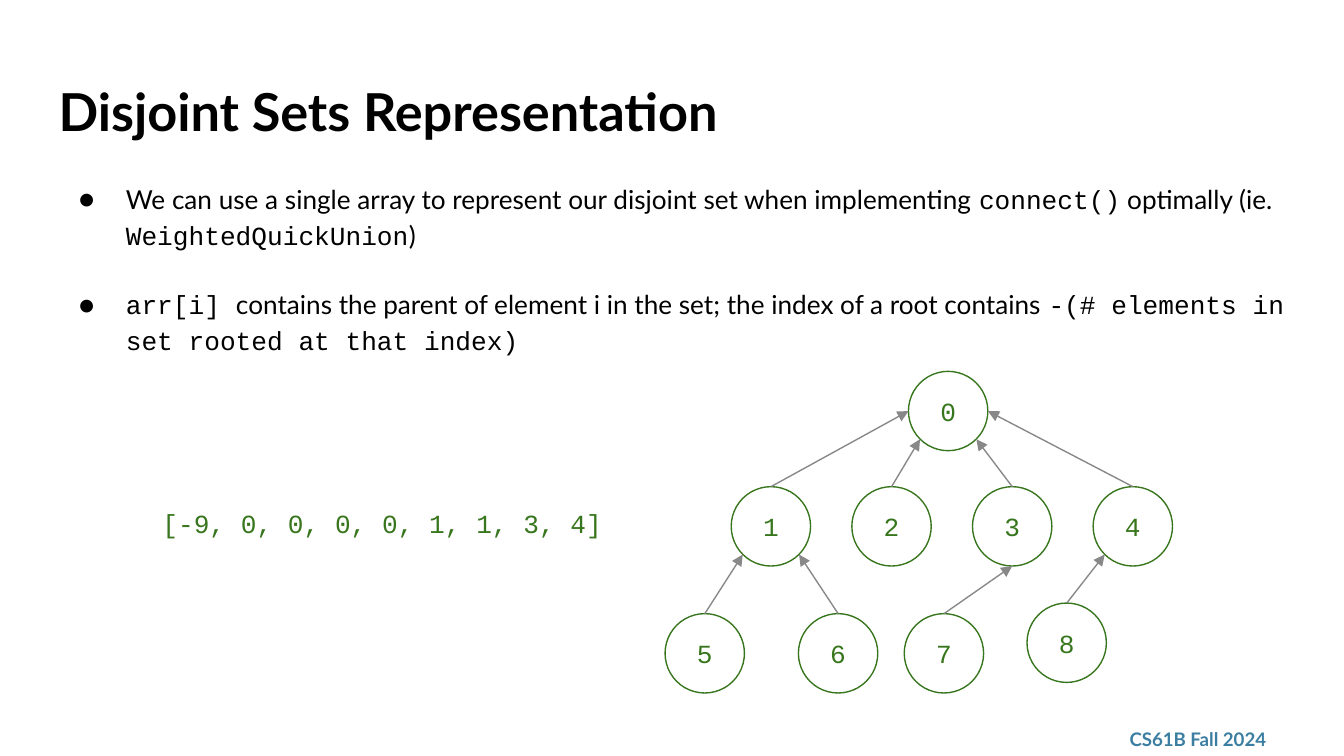
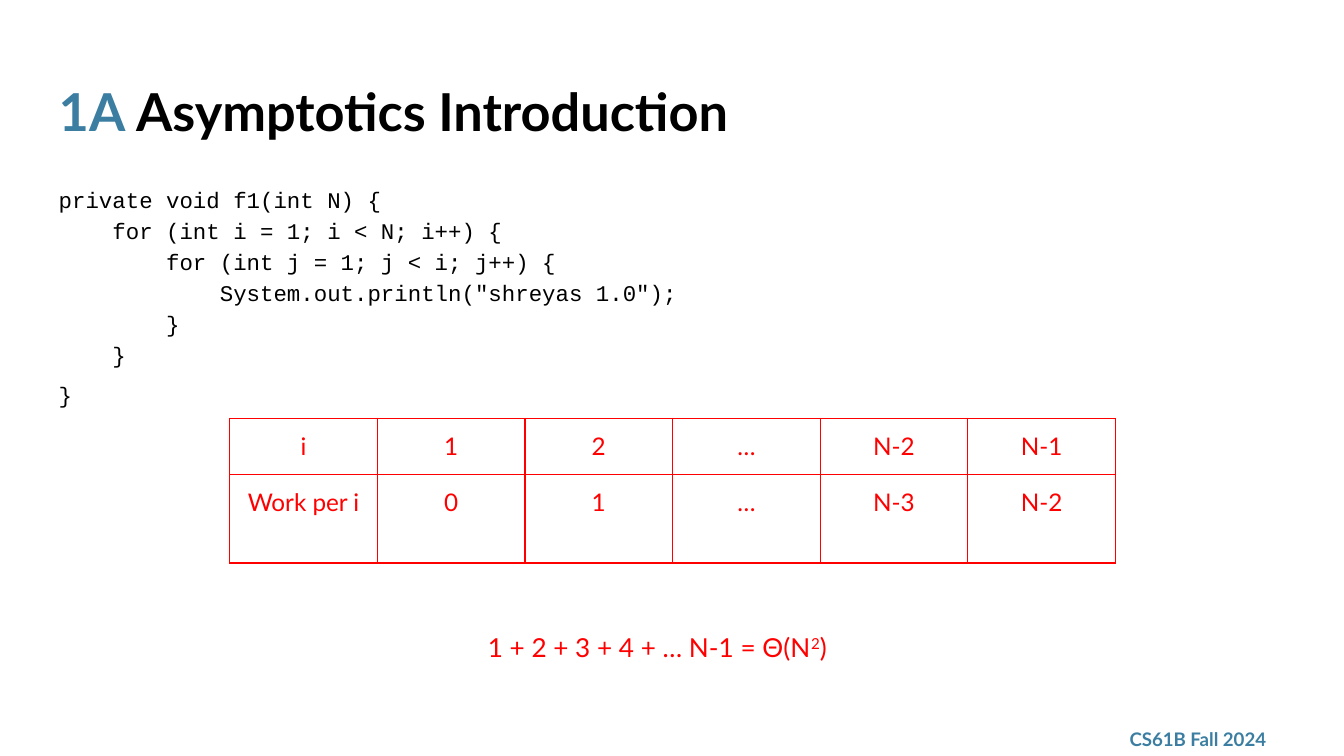
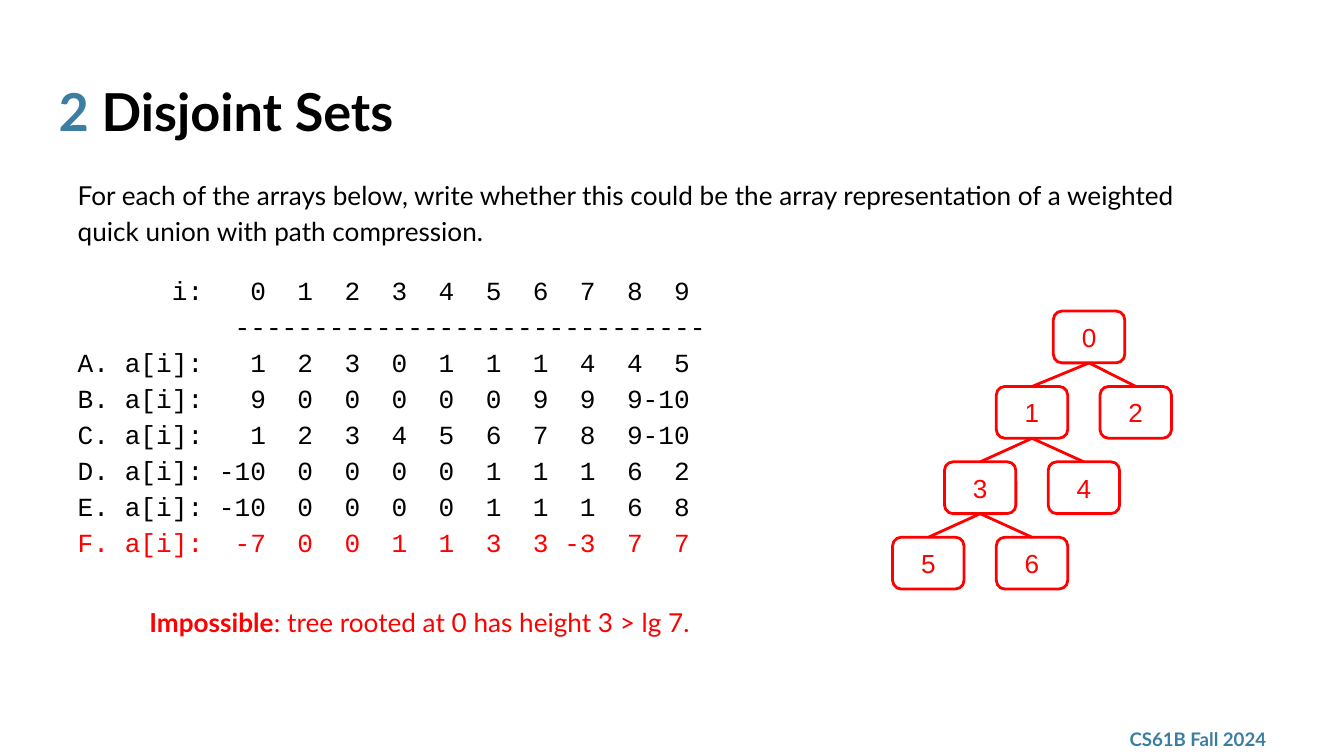
import lxml.etree
import pptx
import pptx.dml.color
import pptx.enum.shapes
import pptx.enum.text
import pptx.oxml.ns
import pptx.util

Cm = pptx.util.Cm
Pt = pptx.util.Pt
RGBColor = pptx.dml.color.RGBColor
SHAPE = pptx.enum.shapes.MSO_SHAPE
ANCHOR = pptx.enum.text.MSO_ANCHOR
ALIGN = pptx.enum.text.PP_ALIGN
qn = pptx.oxml.ns.qn

BLACK = RGBColor(0x00, 0x00, 0x00)
WHITE = RGBColor(0xFF, 0xFF, 0xFF)
BLUE = RGBColor(0x3B, 0x7E, 0xA1)
GREEN = RGBColor(0x38, 0x76, 0x1D)
RED = RGBColor(0xFF, 0x00, 0x00)
GRAY = RGBColor(0x88, 0x88, 0x88)

MARGIN = 0.25
TITLE_BOX = (0.86, 1.24, 23.67, 1.6)
FOOTER_BOX = (21.1, 13.64, 3.43, 0.66)
FOOTER = "CS61B Fall 2024"

TITLE = {"name": "Lato", "size": Pt(28), "bold": True, "color": BLACK}
FOOTER_STYLE = {"name": "Lato", "size": Pt(10), "bold": True, "color": BLUE}
BODY = {"name": "Lato", "size": Pt(14), "color": BLACK}
MONO = {**BODY, "name": "Courier New"}
CODE = {**MONO, "size": Pt(12)}
GREEN_MONO = {**MONO, "color": GREEN}
RED_BODY = {**BODY, "color": RED}
RED_CELL = {**RED_BODY, "size": Pt(13)}
RED_NODE = {**RED_BODY, "name": "Arial"}
CENTERED = {"alignment": ALIGN.CENTER}
LOOSE = {"line_spacing": 1.15}

# Slide 1: each node is (left, top); each edge is (child, parent, point on the
# parent circle as a direction from its centre)
REPRESENTATION_BULLETS = [
    [("We can use a single array to represent our disjoint set when implementing ", {}),
     ("connect()", MONO), (" optimally (ie. ", {}), ("WeightedQuickUnion", MONO), (")", {})],
    [("arr[i] ", MONO),
     ("contains the parent of element i in the set; the index of a root contains ", {}),
     ("-(# elements in set rooted at that index)", MONO)],
]
PARENTS = [-9, 0, 0, 0, 0, 1, 1, 3, 4]
CIRCLE = 1.5
CIRCLES = {0: (17.17, 7.02),
           **{number: (13.82 + 2.28 * (number - 1), 9.2) for number in range(1, 5)},
           5: (12.57, 11.6), 6: (15.09, 11.6), 7: (17.09, 11.6), 8: (19.41, 11.4)}
LEFT, RIGHT, BOTTOM = (-1, 0), (1, 0), (0, 1)
LOWER_LEFT, LOWER_RIGHT = (-0.71, 0.71), (0.71, 0.71)
ARRIVALS = {1: LEFT, 2: LOWER_LEFT, 3: LOWER_RIGHT, 4: RIGHT,
            5: LOWER_LEFT, 6: LOWER_RIGHT, 7: BOTTOM, 8: LOWER_LEFT}

# Slide 2
CODE_LINES = [
    "private void f1(int N) {",
    "    for (int i = 1; i < N; i++) {",
    "        for (int j = 1; j < i; j++) {",
    "            System.out.println(\"shreyas 1.0\");",
    "        }",
    "    }",
    "}",
]
WORK_ROWS = [
    ("i", "1", "2", "…", "N-2", "N-1"),
    ("Work per i", "0", "1", "…", "N-3", "N-2"),
]
WORK_HEIGHTS = (1.06, 1.67)
WORK_COLUMN = 2.79
WORK_SUM = [("1 + 2 + 3 + 4 + … N-1 = Θ(N", {}), ("2", {"baseline": 30000}), (")", {})]

# Slide 3: each box is (half steps from the left, level)
QUESTION = ("For each of the arrays below, write whether this could be the array "
            "representation of a weighted quick union with path compression.")
ARRAYS = [
    ("A", (1, 2, 3, 0, 1, 1, 1, 4, 4, 5)),
    ("B", (9, 0, 0, 0, 0, 0, 9, 9, 9, -10)),
    ("C", (1, 2, 3, 4, 5, 6, 7, 8, 9, -10)),
    ("D", (-10, 0, 0, 0, 0, 1, 1, 1, 6, 2)),
    ("E", (-10, 0, 0, 0, 0, 1, 1, 1, 6, 8)),
    ("F", (-7, 0, 0, 1, 1, 3, 3, -3, 7, 7)),
]
ANSWERED = "F"
VERDICT = [("Impossible", {"bold": True}), (": tree rooted at 0 has height 3 > lg 7.", {})]
BOXES = {0: (3.1, 0), 1: (2, 1), 2: (4, 1), 3: (1, 2), 4: (3, 2), 5: (0, 3), 6: (2, 3)}
BOX_CHILDREN = {0: (1, 2), 1: (3, 4), 3: (5, 6)}
BOX_ORIGIN = (16.87, 5.88)
BOX_STEP = (0.98, 1.425)
BOX_SIZE = (1.35, 0.98)


def set_all(target, values):
    for name, value in values.items():
        setattr(target, name, value)


def add_xml(parent, tag, **attributes):
    return lxml.etree.SubElement(parent, qn(tag), attributes)


def write(frame, paragraphs, style, layout=None, anchor=ANCHOR.TOP):
    """Fill a text frame; a paragraph is a string or a list of (text, style changes)."""
    margins = dict.fromkeys(
        ("margin_left", "margin_top", "margin_right", "margin_bottom"), Cm(MARGIN))
    set_all(frame, {"word_wrap": True, "auto_size": pptx.enum.text.MSO_AUTO_SIZE.NONE,
                    "vertical_anchor": anchor, **margins})
    for index, content in enumerate(paragraphs):
        paragraph = frame.add_paragraph() if index else frame.paragraphs[0]
        set_all(paragraph, layout or {})
        write_runs(paragraph, content, style)


def write_runs(paragraph, content, style):
    for text, changes in [(content, {})] if isinstance(content, str) else content:
        run = paragraph.add_run()
        run.text = text
        values = {**style, **changes}
        run.font.color.rgb = values.pop("color")
        baseline = values.pop("baseline", None)
        set_all(run.font, values)
        if baseline:
            run.font._element.set("baseline", str(baseline))


def add_text(slide, box, paragraphs, style, layout=None, anchor=ANCHOR.TOP):
    shape = slide.shapes.add_textbox(*map(Cm, box))
    write(shape.text_frame, paragraphs, style, layout, anchor)
    return shape.text_frame


def add_bullet(paragraph):
    properties = paragraph._p.get_or_add_pPr()
    properties.set("marL", str(Cm(1.27)))
    properties.set("indent", str(Cm(-0.89)))
    add_xml(add_xml(properties, "a:buClr"), "a:srgbClr", val=str(BLACK))
    add_xml(properties, "a:buFont", typeface="Lato")
    add_xml(properties, "a:buChar", char="●")


def add_node(slide, kind, box, label, style, width, fill=None):
    node = slide.shapes.add_shape(kind, *map(Cm, box))
    node.shadow.inherit = False
    if fill is None:
        node.fill.background()
    else:
        node.fill.solid()
        node.fill.fore_color.rgb = fill
    node.line.color.rgb = style["color"]
    node.line.width = Pt(width)
    write(node.text_frame, [label], style, CENTERED, ANCHOR.MIDDLE)


def add_link(slide, start, end, color, width, arrow=False):
    link = slide.shapes.add_connector(
        pptx.enum.shapes.MSO_CONNECTOR.STRAIGHT, *map(Cm, start + end))
    link.line.color.rgb = color
    link.line.width = Pt(width)
    properties = link._element.spPr
    if arrow:
        add_xml(properties.find(qn("a:ln")), "a:tailEnd", type="triangle")
    add_xml(properties, "a:effectLst")


def add_borders(cell, color, width):
    properties = cell._tc.get_or_add_tcPr()
    for side in ("a:lnL", "a:lnR", "a:lnT", "a:lnB"):
        line = add_xml(properties, side, w=str(Pt(width)))
        add_xml(add_xml(line, "a:solidFill"), "a:srgbClr", val=str(color))


def add_slide(presentation, title, number=""):
    slide = presentation.slides.add_slide(presentation.slide_layouts[5])
    placeholder = slide.shapes.title
    set_all(placeholder, dict(zip(("left", "top", "width", "height"), map(Cm, TITLE_BOX))))
    runs = [(number + " ", {"color": BLUE})] if number else []
    write(placeholder.text_frame, [runs + [(title, {})]], TITLE, {"alignment": ALIGN.LEFT})
    add_text(slide, FOOTER_BOX, [FOOTER], FOOTER_STYLE, anchor=ANCHOR.MIDDLE)
    return slide


def build_representation(presentation):
    slide = add_slide(presentation, "Disjoint Sets Representation")
    bullets = add_text(slide, (0.86, 3.12, 23.67, 4.32), REPRESENTATION_BULLETS, BODY, LOOSE)
    bullets.paragraphs[1].space_before = Pt(18)
    for paragraph in bullets.paragraphs:
        add_bullet(paragraph)
    add_text(slide, (2.82, 9.35, 9.35, 1.12), [str(PARENTS)], GREEN_MONO)

    for number, (left, top) in CIRCLES.items():
        add_node(slide, SHAPE.FLOWCHART_CONNECTOR, (left, top, CIRCLE, CIRCLE),
                 str(number), GREEN_MONO, 0.75, WHITE)
    radius = CIRCLE / 2
    for child, (across, down) in ARRIVALS.items():
        left, top = CIRCLES[child]
        parent_left, parent_top = CIRCLES[PARENTS[child]]
        end = (parent_left + radius * (1 + across), parent_top + radius * (1 + down))
        add_link(slide, (left + radius, top), end, GRAY, 0.75, arrow=True)


def build_asymptotics(presentation):
    slide = add_slide(presentation, "Asymptotics Introduction", "1A")
    code = add_text(slide, (0.86, 3.2, 13.72, 4.34), CODE_LINES, CODE, LOOSE)
    code.paragraphs[-1].line_spacing = 1.5
    add_text(slide, (8.97, 11.68, 7.44, 1.12), [WORK_SUM], RED_BODY)

    columns = len(WORK_ROWS[0])
    table = slide.shapes.add_table(
        len(WORK_ROWS), columns, Cm(4.34), Cm(7.91),
        Cm(WORK_COLUMN * columns), Cm(sum(WORK_HEIGHTS))).table
    set_all(table, {"first_row": False, "horz_banding": False})
    for column in table.columns:
        column.width = Cm(WORK_COLUMN)
    for row, height, texts in zip(table.rows, WORK_HEIGHTS, WORK_ROWS):
        row.height = Cm(height)
        for cell, text in zip(row.cells, texts):
            add_borders(cell, RED, 0.75)
            cell.fill.background()
            set_all(cell, dict.fromkeys(
                ("margin_left", "margin_top", "margin_right", "margin_bottom"), Cm(MARGIN)))
            paragraph = cell.text_frame.paragraphs[0]
            set_all(paragraph, CENTERED)
            write_runs(paragraph, text, RED_CELL)


def array_line(label, values):
    return f"{label:>8} " + "".join(f"{value:>3}" for value in values)


def build_disjoint_sets(presentation):
    slide = add_slide(presentation, "Disjoint Sets", "2")
    lines = [array_line("i:", range(10)), " " * 10 + "-" * 30]
    for letter, values in ARRAYS:
        changes = {"color": RED} if letter == ANSWERED else {}
        lines.append([(array_line(f"{letter}. a[i]:", values), changes)])
    add_text(slide, (1.22, 4.85, 13.46, 5.66), lines, MONO, LOOSE)
    add_text(slide, (1.22, 3.05, 21.82, 1.8), [QUESTION], BODY, LOOSE)
    add_text(slide, (1.6, 11.13, 12.67, 1.12), [VERDICT], RED_BODY, {**CENTERED, **LOOSE})

    width, height = BOX_SIZE
    corners = {number: (BOX_ORIGIN[0] + BOX_STEP[0] * step, BOX_ORIGIN[1] + BOX_STEP[1] * level)
               for number, (step, level) in BOXES.items()}
    for number, corner in corners.items():
        add_node(slide, SHAPE.ROUNDED_RECTANGLE, corner + BOX_SIZE, str(number), RED_NODE, 1.5)
    for parent, children in BOX_CHILDREN.items():
        left, top = corners[parent]
        for child in children:
            child_left, child_top = corners[child]
            add_link(slide, (left + width / 2, top + height),
                     (child_left + width / 2, child_top), RED, 1.5)


def main():
    presentation = pptx.Presentation()
    presentation.slide_width = Cm(25.4)
    presentation.slide_height = Cm(14.29)
    build_representation(presentation)
    build_asymptotics(presentation)
    build_disjoint_sets(presentation)
    presentation.save("out.pptx")


if __name__ == "__main__":
    main()
